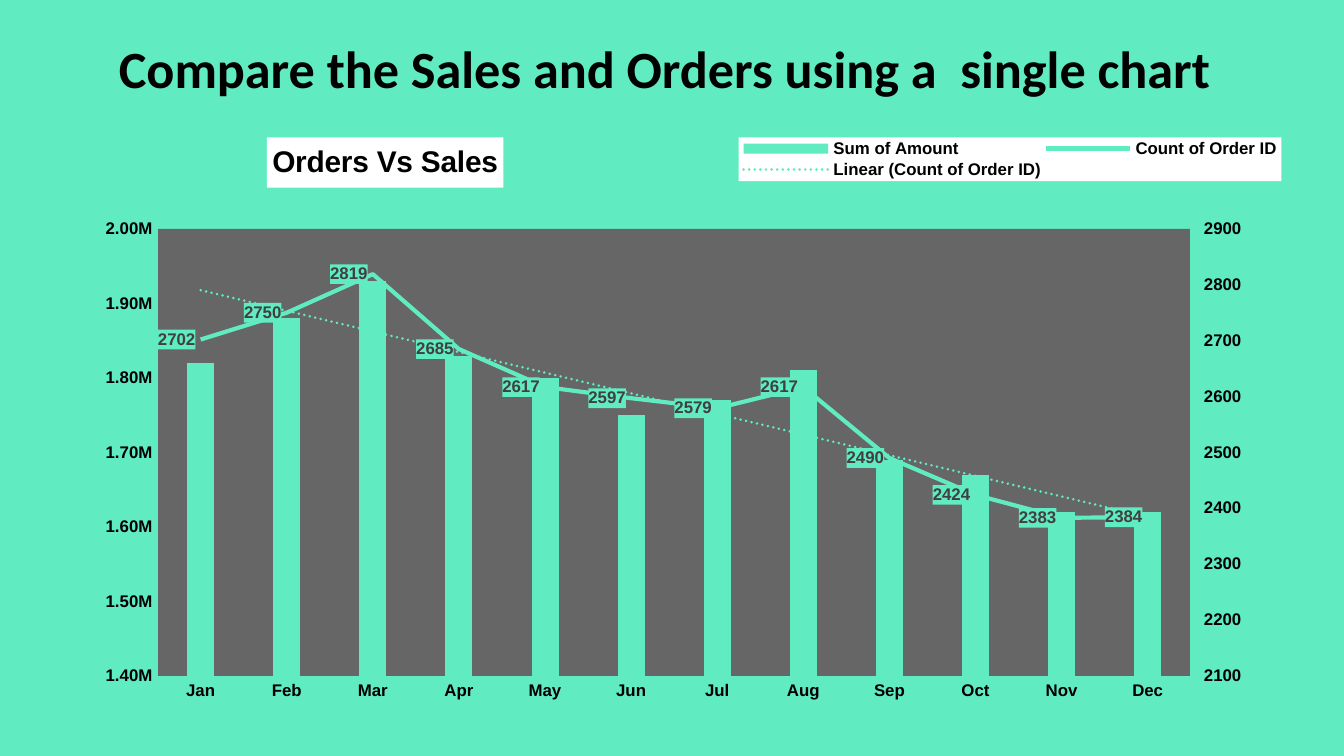
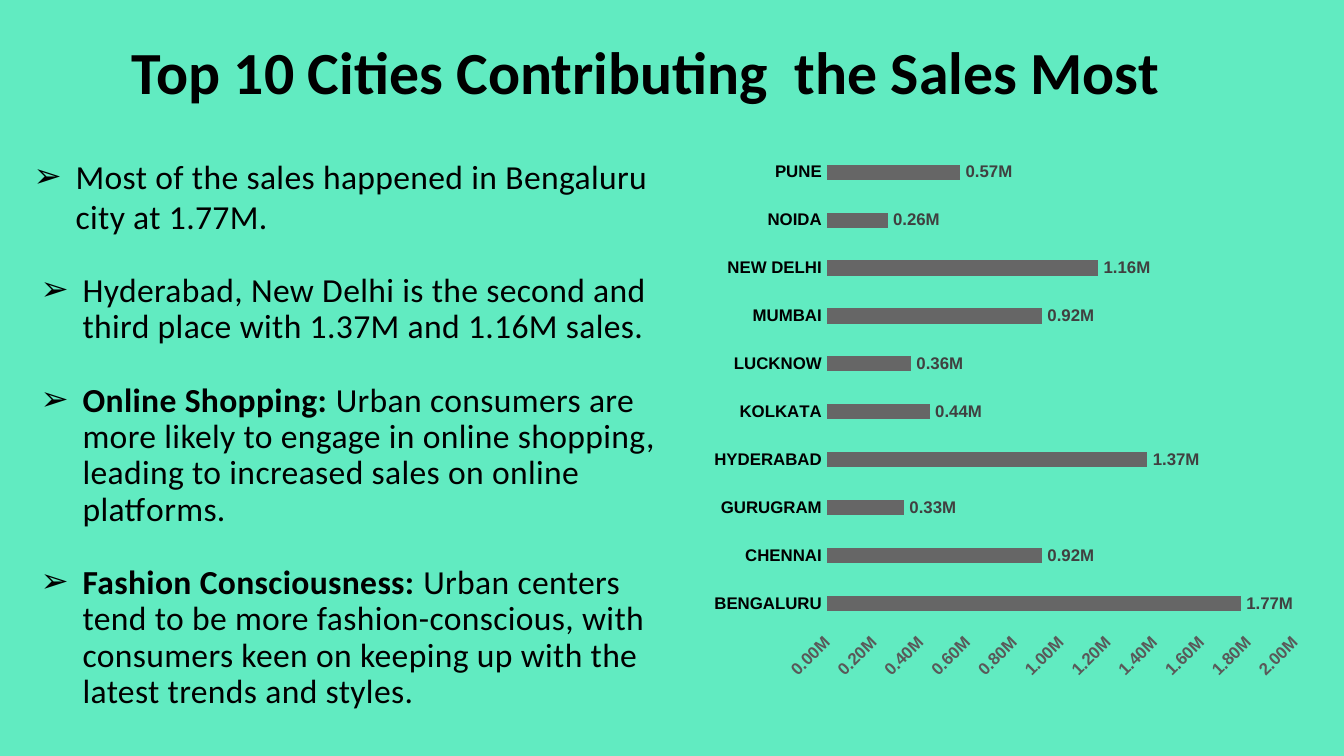
from copy import deepcopy

from pptx import Presentation, oxml, util as u
from pptx.chart import axis as axes
from pptx.chart.data import CategoryChartData
from pptx.dml.color import RGBColor
from pptx.enum import chart as charts, text
from pptx.oxml.ns import nsdecls, qn

PX = 9525
MINT, GRAY, BLACK, WHITE = "61EBC1", "666666", "000000", "FFFFFF"
LABEL, TICK = "404040", "595959"
MILLIONS = '0.00,,"M"'


def px(n):
    return u.Emu(n * PX)


def rgb(code):
    return RGBColor.from_string(code)


def apply(obj, values):
    for name, value in values.items():
        if name == "color":
            obj.color.rgb = rgb(value)
        else:
            setattr(obj, name, value)


def put(parent, tag, inner, *successors):
    for old in parent.findall(qn("c:" + tag)):
        parent.remove(old)
    el = oxml.parse_xml(f'<c:{tag} {nsdecls("c", "a")}>{inner}</c:{tag}>')
    names = [qn("c:" + s) for s in successors]
    after = next((child for child in parent if child.tag in names), None)
    if after is None:
        parent.append(el)
    else:
        after.addprevious(el)
    return el


def solid(code):
    return f'<a:solidFill><a:srgbClr val="{code}"/></a:solidFill>'


def place(parent, values, *successors, inner=False):
    keys = ("x", "y", "w", "h")[:len(values)]
    xml = '<c:layoutTarget val="inner"/>' if inner else ""
    xml += '<c:xMode val="edge"/><c:yMode val="edge"/>'
    xml += "".join(f'<c:{k} val="{v}"/>' for k, v in zip(keys, values))
    put(parent, "layout", f"<c:manualLayout>{xml}</c:manualLayout>", *successors)


class Deck:
    def __init__(self):
        self.prs = Presentation()
        self.prs.slide_width, self.prs.slide_height = px(960), px(540)
        self.small = {"name": "Arial", "size": u.Pt(9), "bold": True, "color": BLACK}
        self.body = {"name": "Calibri", "size": u.Pt(18), "color": BLACK}

    def slide(self):
        self.s = self.prs.slides.add_slide(self.prs.slide_layouts[6])
        fill = self.s.background.fill
        fill.solid()
        fill.fore_color.rgb = rgb(MINT)

    def frame(self, box, margins, **values):
        tf = self.s.shapes.add_textbox(*map(px, box)).text_frame
        sides = ("margin_left", "margin_top", "margin_right", "margin_bottom")
        apply(tf, {"word_wrap": True, **dict(zip(sides, map(px, margins))), **values})
        return tf

    def run(self, p, words, spc=0, **values):
        r = p.add_run()
        r.text = words
        apply(r.font, {**self.body, **values})
        if spc:
            r.font._element.set("spc", str(spc))

    def title(self, words, box, size, anchor):
        p = self.frame(box, [10] * 4, vertical_anchor=anchor).paragraphs[0]
        p.alignment = text.PP_ALIGN.CENTER
        self.run(p, words, size=u.Pt(size), bold=True)

    def bullets(self, items, box):
        tf = self.frame(box, (0, 13, 0, 0), auto_size=text.MSO_AUTO_SIZE.SHAPE_TO_FIT_TEXT)
        for i, (lead, words) in enumerate(items):
            p = tf.add_paragraph() if i else tf.paragraphs[0]
            pPr = p._p.get_or_add_pPr()
            pPr.set("marL", str(px(37 if i else 32)))
            pPr.set("indent", str(px(-30)))
            for xml in (f'<a:buClr {nsdecls("a")}><a:srgbClr val="{BLACK}"/></a:buClr>',
                        f'<a:buFont {nsdecls("a")} typeface="Arial"/>',
                        f'<a:buChar {nsdecls("a")} char="➢"/>'):
                pPr.append(oxml.parse_xml(xml))
            if i:
                apply(p, {"line_spacing": u.Pt(19.5), "space_before": u.Pt(19.7)})
            if lead:
                self.run(p, lead, spc=20, bold=True)
            self.run(p, words, spc=20)

    def chart(self, kind, box, cats, series, layout):
        data = CategoryChartData()
        data.categories = cats
        for name, values in series:
            data.add_series(name, values)
        ch = self.s.shapes.add_chart(kind, *map(px, box), data).chart
        apply(ch, {"has_title": False, "has_legend": False})
        apply(ch.font, {"name": "Arial", "size": u.Pt(10), "color": BLACK})
        put(ch._chartSpace, "spPr", "<a:noFill/><a:ln><a:noFill/></a:ln>",
            "txPr", "externalData")
        place(ch._chartSpace.chart.plotArea, layout, "barChart", inner=True)
        apply(ch.plots[0], {"gap_width": 219, "vary_by_categories": False})
        return ch

    def axis(self, ax, line=None, color=BLACK, fmt=None, **values):
        apply(ax, {"has_major_gridlines": False,
                   "major_tick_mark": charts.XL_TICK_MARK.NONE,
                   "minor_tick_mark": charts.XL_TICK_MARK.NONE, **values})
        apply(ax.tick_labels.font, {**self.small, "color": color})
        if fmt:
            apply(ax.tick_labels, {"number_format": fmt, "number_format_is_linked": False})
        if line:
            apply(ax.format.line, {"color": MINT, "width": u.Pt(line)})
        else:
            ax.format.line.fill.background()

    def bars(self, series, color):
        series.invert_if_negative = False
        series.format.fill.solid()
        series.format.fill.fore_color.rgb = rgb(color)

    def labels(self, series, position, fmt="General"):
        dl = series.data_labels
        apply(dl, {"show_value": True, "position": position,
                   "number_format": fmt, "number_format_is_linked": False})
        apply(dl.font, {**self.small, "color": LABEL})
        return dl

    def chart_title(self, ch, words, layout):
        t = ch.chart_title
        p = t.text_frame.paragraphs[0]
        self.run(p, words, name="Arial", size=u.Pt(16), bold=True)
        t.format.fill.solid()
        t.format.fill.fore_color.rgb = rgb(WHITE)
        place(t._element, layout, "overlay", "spPr", "txPr")

    def legend(self, ch, layout):
        ch.has_legend = True
        apply(ch.legend, {"position": charts.XL_LEGEND_POSITION.RIGHT,
                          "include_in_layout": False})
        apply(ch.legend.font, self.small)
        place(ch.legend._element, layout, "overlay", "spPr", "txPr")
        put(ch.legend._element, "spPr", solid(WHITE), "txPr")

    def second_axis_line(self, ch):
        area = ch._chartSpace.chart.plotArea
        bar = area.find(qn("c:barChart"))
        ser = bar.findall(qn("c:ser"))[1]
        line = oxml.parse_xml(
            f'<c:lineChart {nsdecls("c")}><c:grouping val="standard"/>'
            '<c:varyColors val="0"/><c:marker val="1"/>'
            '<c:axId val="501"/><c:axId val="502"/></c:lineChart>')
        for el in ser.findall(qn("c:invertIfNegative")):
            ser.remove(el)
        line.insert(2, ser)
        bar.addnext(line)
        val, cat = (deepcopy(area.find(qn(tag))) for tag in ("c:valAx", "c:catAx"))
        for el, own, other in ((cat, "501", "502"), (val, "502", "501")):
            el.find(qn("c:axId")).set("val", own)
            el.find(qn("c:crossAx")).set("val", other)
            el.find(qn("c:crosses")).set("val", "max")
        area.findall(qn("c:valAx"))[-1].addnext(val)
        val.addnext(cat)
        val.find(qn("c:axPos")).set("val", "r")
        axes.CategoryAxis(cat).visible = False
        cat.find(qn("c:delete")).set("val", "1")
        return ch.plots[1].series[0], axes.ValueAxis(val)

    def trend(self, series, name):
        put(series._element, "trendline",
            f'<c:name>{name}</c:name><c:spPr><a:ln w="{u.Pt(1.5)}" cap="rnd">{solid(MINT)}'
            '<a:prstDash val="sysDot"/></a:ln></c:spPr><c:trendlineType val="linear"/>'
            '<c:dispRSqr val="0"/><c:dispEq val="0"/>', "cat", "val", "smooth")


def orders_and_sales(d):
    d.slide()
    d.title("Compare the Sales and Orders using a  single chart", (31, 13, 887, 70), 28,
            text.MSO_ANCHOR.MIDDLE)
    months = "Jan Feb Mar Apr May Jun Jul Aug Sep Oct Nov Dec".split()
    sales = [1.82, 1.88, 1.93, 1.83, 1.80, 1.75, 1.77, 1.81, 1.69, 1.67, 1.62, 1.62]
    orders = [2702, 2750, 2819, 2685, 2617, 2597, 2579, 2617, 2490, 2424, 2383, 2384]
    ch = d.chart(charts.XL_CHART_TYPE.COLUMN_CLUSTERED, (31, 96, 887, 417), months,
                 [("Sum of Amount", [round(v * 1000000) for v in sales]),
                  ("Count of Order ID", orders)], (0.092, 0.162, 0.832, 0.766))
    ch.plots[0].overlap = -27
    put(ch._chartSpace.chart.plotArea, "spPr", solid(GRAY))
    d.axis(ch.category_axis, line=0.5)
    d.axis(ch.value_axis, line=0.5, fmt=MILLIONS, minimum_scale=1400000,
           maximum_scale=2000000, major_unit=100000)
    count, right = d.second_axis_line(ch)
    d.axis(right, line=0.5, fmt="General", minimum_scale=2100, maximum_scale=2900,
           major_unit=100, major_tick_mark=charts.XL_TICK_MARK.OUTSIDE,
           tick_label_position=charts.XL_TICK_LABEL_POSITION.HIGH)
    d.bars(ch.plots[0].series[0], MINT)
    count.smooth = False
    count.marker.style = charts.XL_MARKER_STYLE.NONE
    apply(count.format.line, {"color": MINT, "width": u.Pt(2.25)})
    dl = d.labels(count, charts.XL_LABEL_POSITION.LEFT)
    put(dl._element, "spPr", solid(MINT), "txPr", "dLblPos")
    d.trend(count, "Linear (Count of Order ID)")
    d.chart_title(ch, "Orders Vs Sales", (0.18, 0.005))
    d.legend(ch, (0.56, 0.005, 0.437, 0.075))


def top_cities(d):
    d.slide()
    d.title("Top 10 Cities Contributing  the Sales Most", (22, 15, 879, 64), 32,
            text.MSO_ANCHOR.TOP)
    cities = {"BENGALURU": 1.77, "CHENNAI": 0.92, "GURUGRAM": 0.33, "HYDERABAD": 1.37,
              "KOLKATA": 0.44, "LUCKNOW": 0.36, "MUMBAI": 0.92, "NEW DELHI": 1.16,
              "NOIDA": 0.26, "PUNE": 0.57}
    ch = d.chart(charts.XL_CHART_TYPE.BAR_CLUSTERED, (502, 98, 437, 395), list(cities),
                 [("Series 1", [round(v * 1000000) for v in cities.values()])],
                 (0.203, 0.02, 0.765, 0.867))
    d.axis(ch.category_axis, line=0.75)
    d.axis(ch.value_axis, color=TICK, fmt=MILLIONS, minimum_scale=0,
           maximum_scale=2000000, major_unit=200000)
    body = ch.value_axis._element.find(qn("c:txPr")).find(qn("a:bodyPr"))
    body.set("rot", "-2700000")
    d.bars(ch.plots[0].series[0], GRAY)
    d.labels(ch.plots[0].series[0], charts.XL_LABEL_POSITION.OUTSIDE_END, MILLIONS)
    d.bullets([
        ("", "Most of the sales happened in Bengaluru city at 1.77M."),
        ("", "Hyderabad, New Delhi is the second and third place with 1.37M and 1.16M sales."),
        ("Online Shopping: ", "Urban consumers are more likely to engage in online shopping, "
         "leading to increased sales on online platforms."),
        ("Fashion Consciousness: ", "Urban centers tend to be more fashion-conscious, with "
         "consumers keen on keeping up with the latest trends and styles."),
    ], (22, 98, 469, 421))


def main():
    d = Deck()
    orders_and_sales(d)
    top_cities(d)
    d.prs.save("out.pptx")


if __name__ == "__main__":
    main()
